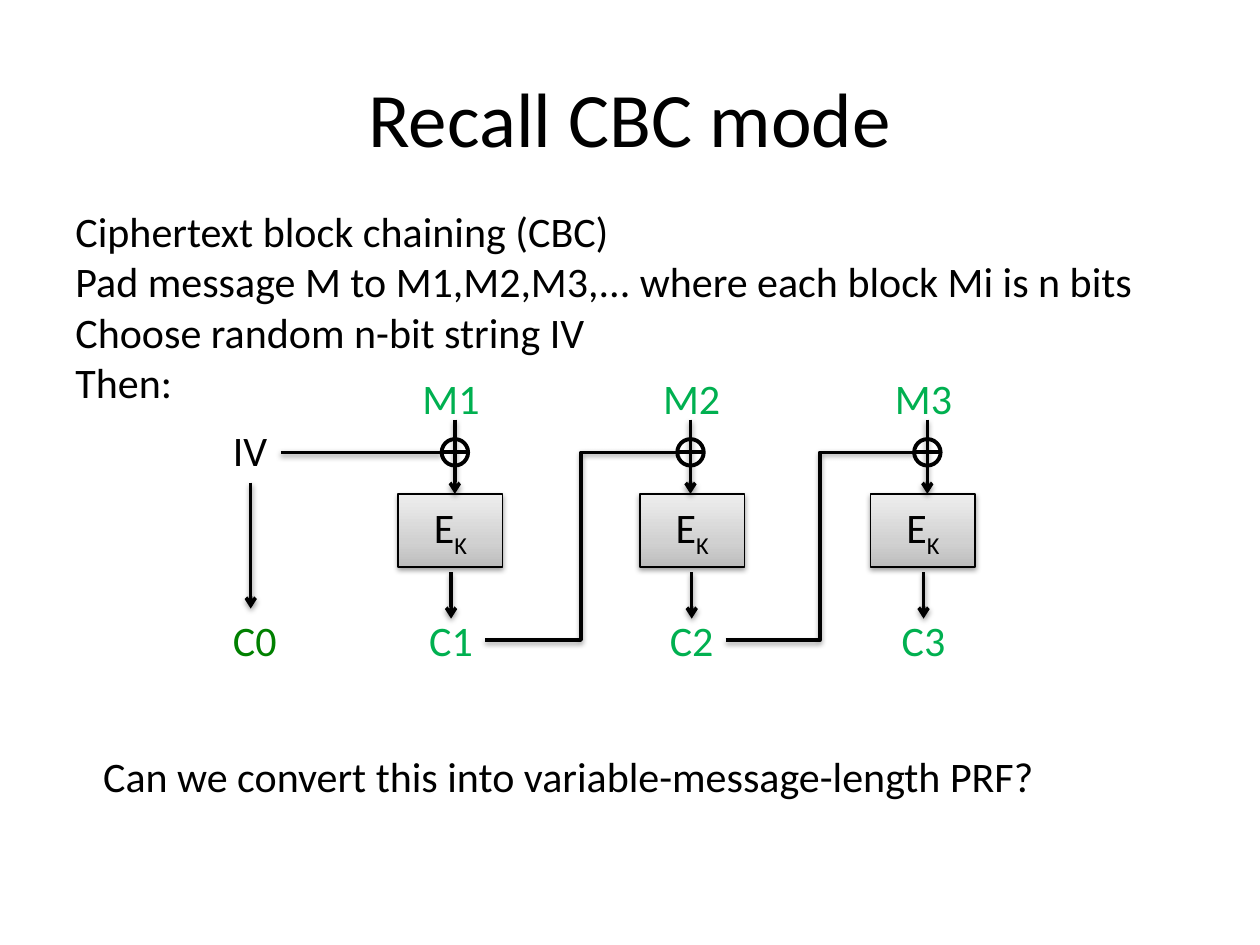
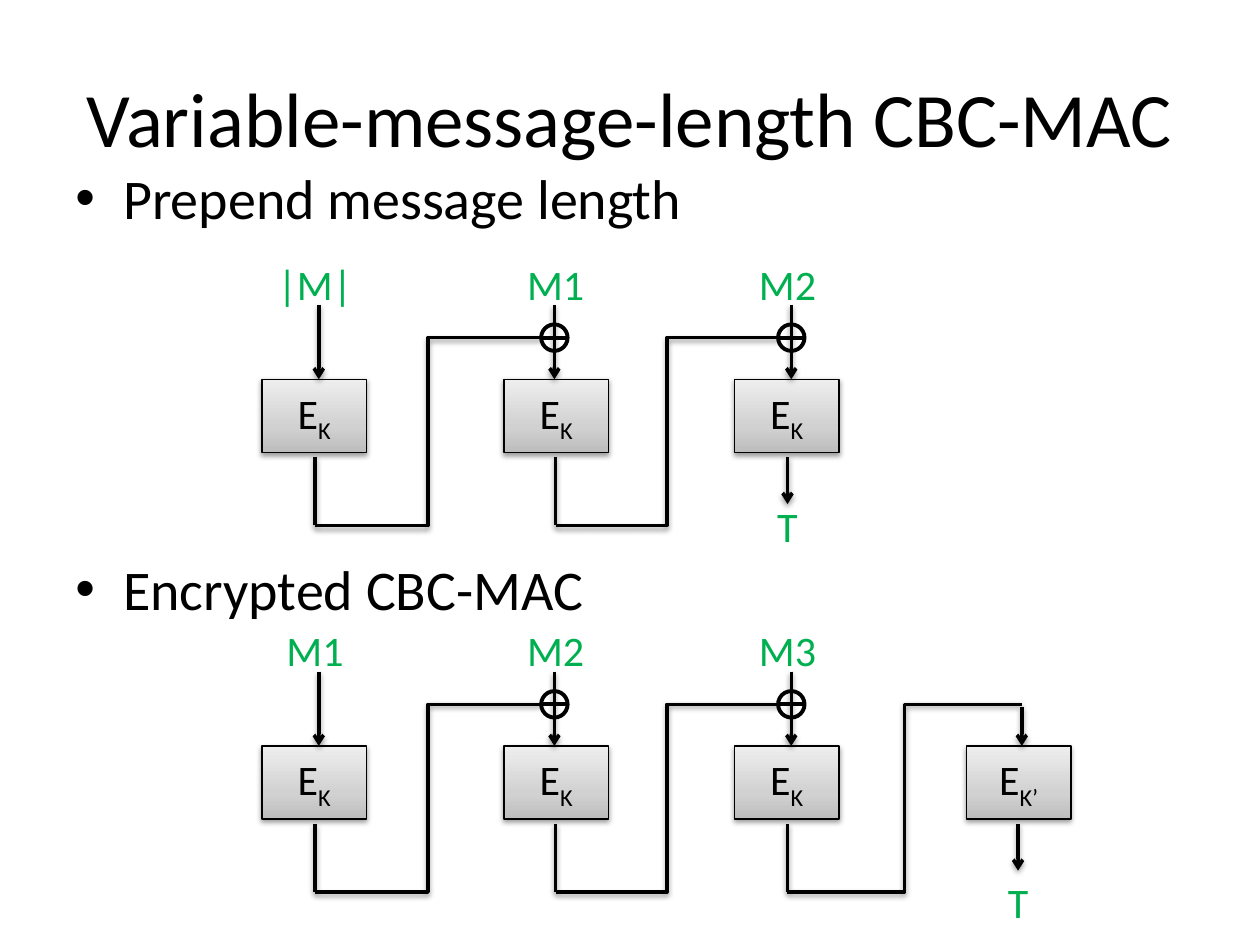
"""Builds two slides about CBC mode and CBC-MAC."""
import copy
from dataclasses import dataclass

import pptx
import pptx.dml.color
import pptx.enum.shapes
import pptx.enum.text
import pptx.oxml
import pptx.oxml.ns
import pptx.util
from pptx.util import Inches

qn = pptx.oxml.ns.qn
ALIGN = pptx.enum.text.PP_ALIGN
ANCHOR = pptx.enum.text.MSO_ANCHOR
AUTO_SIZE = pptx.enum.text.MSO_AUTO_SIZE
SHAPE = pptx.enum.shapes.MSO_SHAPE
CONNECTOR = pptx.enum.shapes.MSO_CONNECTOR


@dataclass(frozen=True)
class Theme:
    """Colours, type and line widths shared by the slides."""
    font: str = "Calibri"
    ink: str = "000000"
    block: str = "00B050"
    first_block: str = "008000"
    box_gradient: tuple = ((0, "BDBDBD"), (0.35, "D1D1D1"), (1, "EEEEEE"))
    title_size: int = 44
    bullet_size: int = 32
    text_size: int = 24
    box_line: float = 0.75
    wire: float = 2
    xor_line: float = 2.25


@dataclass(frozen=True)
class Stage:
    """Horizontal places of one cipher stage."""
    box: float
    feed: float
    output: float

    def shifted(self, distance):
        """Return the same stage moved to the right."""
        return Stage(self.box + distance, self.feed + distance, self.output + distance)


THEME = Theme()
STAGES = (Stage(2.08, 2.53, 2.5), Stage(4, 4.4, 4.41),
          Stage(5.83, 6.28, 6.25), Stage(7.67, 8.11, 8.08))
BOX_WIDTH, BOX_HEIGHT = 0.83, 0.58
XOR_RADIUS = 0.105

# Heights measured from the top of the cipher boxes.
LABEL_TOP, FEED_TOP, XOR_Y = -1.01, -0.59, -0.33
OUTPUT_TOP, OUTPUT_END, RESULT_TOP, CHAIN_Y = 0.62, 0.99, 0.91, 1.16


def rgb(value):
    """Return a colour from its hexadecimal digits."""
    return pptx.dml.color.RGBColor.from_string(value)


def add_run(paragraph, text, size, color, baseline=None):
    """Add a run in the theme font, optionally as a subscript."""
    run = paragraph.add_run()
    run.text = text
    run.font.name = THEME.font
    run.font.size = pptx.util.Pt(size)
    run.font.color.rgb = rgb(color)
    if baseline is not None:
        run.font._element.set("baseline", str(baseline * 1000))


def add_text(slide, text, left, top, width, height=0.5, *, size=THEME.text_size,
             color=THEME.ink, align=ALIGN.LEFT, anchor=ANCHOR.TOP, wrap=False):
    """Add a text box with one paragraph for each line of text."""
    shape = slide.shapes.add_textbox(Inches(left), Inches(top), Inches(width), Inches(height))
    frame = shape.text_frame
    frame.word_wrap = wrap
    frame.auto_size = AUTO_SIZE.NONE if wrap else AUTO_SIZE.SHAPE_TO_FIT_TEXT
    frame.vertical_anchor = anchor
    for index, line in enumerate(text.split("\n")):
        paragraph = frame.add_paragraph() if index else frame.paragraphs[0]
        paragraph.alignment = align
        add_run(paragraph, line, size, color)
    return shape


def add_title(slide, text):
    """Add the centred slide title."""
    add_text(slide, text, 0.5, 0.3, 9, 1.25, size=THEME.title_size,
             align=ALIGN.CENTER, anchor=ANCHOR.MIDDLE, wrap=True)


def add_bullets(slide, text, gap):
    """Add the bulleted body, with a gap in points between its items."""
    shape = add_text(slide, text, 0.5, 1.25, 9, 4.95, size=THEME.bullet_size, wrap=True)
    for index, paragraph in enumerate(shape.text_frame.paragraphs):
        if index:
            paragraph.space_before = pptx.util.Pt(gap)
        properties = paragraph._p.get_or_add_pPr()
        properties.set("marL", str(Inches(0.38)))
        properties.set("indent", str(Inches(-0.38)))
        pptx.oxml.ns  # bullet elements follow the spacing element
        for tag, name, value in (("a:buFont", "typeface", "Arial"), ("a:buChar", "char", "\u2022")):
            element = properties.makeelement(qn(tag), {name: value})
            properties.append(element)


def add_label(slide, text, center, top, color=THEME.block):
    """Add a block name centred on a horizontal place."""
    width = {1: 0.37, 2: 0.66, 3: 0.8}[len(text)]
    add_text(slide, text, center - width / 2, top, width, color=color, align=ALIGN.CENTER)


def set_shadow(shape, visible):
    """Give a shape or connector the soft shadow, or none."""
    properties = shape._element.spPr
    effects = properties.makeelement(qn("a:effectLst"), {})
    properties.append(effects)
    if visible:
        effects.append(pptx.oxml.parse_xml(
            f'<a:outerShdw {pptx.oxml.ns.nsdecls("a")} blurRad="{pptx.util.Pt(3.1)}" '
            f'dist="{pptx.util.Pt(1.6)}" dir="5400000" rotWithShape="0">'
            f'<a:srgbClr val="{THEME.ink}"><a:alpha val="38000"/></a:srgbClr></a:outerShdw>'))


def add_wire(slide, start, end, *, arrow=False, bent=False, width=THEME.wire, shadow=True):
    """Connect two points by a straight or bent line."""
    kind = CONNECTOR.ELBOW if bent else CONNECTOR.STRAIGHT
    connector = slide.shapes.add_connector(kind, *(Inches(value) for value in (*start, *end)))
    connector.line.color.rgb = rgb(THEME.ink)
    connector.line.width = pptx.util.Pt(width)
    if arrow:
        line = connector._element.spPr.find(qn("a:ln"))
        line.append(line.makeelement(qn("a:tailEnd"), {"type": "arrow"}))
    set_shadow(connector, shadow)


def add_cipher_box(slide, left, top, key):
    """Add a shaded box named E with the key as subscript."""
    shape = slide.shapes.add_shape(SHAPE.RECTANGLE, Inches(left), Inches(top),
                                   Inches(BOX_WIDTH), Inches(BOX_HEIGHT))
    shape.fill.gradient()
    shape.fill.gradient_angle = 90
    stops = shape._element.spPr.find(".//" + qn("a:gsLst"))
    stops.insert(1, copy.deepcopy(stops[0]))
    for stop, (position, color) in zip(shape.fill.gradient_stops, THEME.box_gradient):
        stop.position = position
        stop.color.rgb = rgb(color)
    shape.line.color.rgb = rgb(THEME.ink)
    shape.line.width = pptx.util.Pt(THEME.box_line)
    set_shadow(shape, True)
    shape.text_frame.vertical_anchor = ANCHOR.MIDDLE
    paragraph = shape.text_frame.paragraphs[0]
    paragraph.alignment = ALIGN.CENTER
    add_run(paragraph, "E", THEME.text_size, THEME.ink)
    add_run(paragraph, key, THEME.text_size, THEME.ink, baseline=-25)


def add_xor(slide, x, y):
    """Add the circle and crossbar of an XOR sign around a point."""
    shape = slide.shapes.add_shape(SHAPE.OVAL, Inches(x - XOR_RADIUS), Inches(y - XOR_RADIUS),
                                   Inches(2 * XOR_RADIUS), Inches(2 * XOR_RADIUS))
    shape.fill.background()
    shape.line.color.rgb = rgb(THEME.ink)
    shape.line.width = pptx.util.Pt(THEME.xor_line)
    shape.shadow.inherit = False
    add_wire(slide, (x - XOR_RADIUS, y), (x + XOR_RADIUS, y),
             width=THEME.xor_line, shadow=False)


def add_stage(slide, stage, top, message, *, key="K", xor=True):
    """Add a cipher box with its message, if any, and its input arrow."""
    add_cipher_box(slide, stage.box, top, key)
    feed_top = FEED_TOP if message else XOR_Y + 0.02
    add_wire(slide, (stage.feed, top + feed_top), (stage.feed, top), arrow=True)
    if message:
        add_label(slide, message, stage.output, top + LABEL_TOP)
    if xor:
        add_xor(slide, stage.feed, top + XOR_Y)


def add_output(slide, stage, top, name, name_top=RESULT_TOP):
    """Add the arrow out of a cipher box and the name of its result."""
    add_wire(slide, (stage.output, top + OUTPUT_TOP), (stage.output, top + OUTPUT_END), arrow=True)
    add_label(slide, name, stage.output, top + name_top)


def add_chain(slide, start_x, end_x, top):
    """Carry a result up to the input of the next stage."""
    add_wire(slide, (start_x, top + CHAIN_Y), (end_x, top + XOR_Y), bent=True)


def add_mac(slide, top, messages, final_key=None):
    """Add a CBC-MAC row; a final key adds one more encryption."""
    stages = STAGES[:len(messages) + bool(final_key)]
    for index, (stage, message) in enumerate(zip(stages, messages)):
        add_stage(slide, stage, top, message, xor=index > 0)
    if final_key:
        add_stage(slide, stages[-1], top, None, key=final_key, xor=False)
    for index, (stage, following) in enumerate(zip(stages, stages[1:]), 1):
        add_wire(slide, (stage.output, top + OUTPUT_TOP), (stage.output, top + CHAIN_Y))
        reach = XOR_RADIUS if index < len(messages) else 0
        add_chain(slide, stage.output, following.feed - reach, top)
    add_output(slide, stages[-1], top, "T", OUTPUT_END if final_key else RESULT_TOP)


def build_cbc_slide(slide):
    """Recall how CBC mode encrypts."""
    add_title(slide, "Recall CBC mode")
    add_text(slide, "Ciphertext block chaining (CBC)\n"
                    "Pad message M to M1,M2,M3,... where each block Mi is n bits\n"
                    "Choose random n-bit string IV\nThen:", 0.5, 1.58, 8.69, 1.72)
    top = 3.92
    stages = [stage.shifted(1.08) for stage in STAGES[:3]]
    for number, stage in enumerate(stages, 1):
        add_stage(slide, stage, top, f"M{number}")
        add_output(slide, stage, top, f"C{number}")
    for stage, following in zip(stages, stages[1:]):
        add_chain(slide, stage.output + 0.27, following.feed - XOR_RADIUS, top)
    add_text(slide, "IV", 1.75, 3.32, 0.48)
    add_wire(slide, (2.23, top + XOR_Y), (stages[0].feed - XOR_RADIUS, top + XOR_Y))
    add_wire(slide, (1.99, 3.83), (1.99, 4.83), arrow=True)
    add_text(slide, "C0", 1.75, top + RESULT_TOP, 0.55, color=THEME.first_block)
    add_text(slide, "Can we convert this into variable-message-length PRF?", 0.72, 5.91, 7.69)


def build_mac_slide(slide):
    """Show two ways to authenticate messages of any length."""
    add_title(slide, "Variable-message-length CBC-MAC")
    add_bullets(slide, "Prepend message length\nEncrypted CBC-MAC", gap=185)
    add_mac(slide, 3.01, ("|M|", "M1", "M2"))
    add_mac(slide, 5.92, ("M1", "M2", "M3"), final_key="K\u2019")


def main():
    """Build and save the presentation."""
    presentation = pptx.Presentation()
    presentation.slide_width, presentation.slide_height = Inches(10), Inches(7.5)
    blank = presentation.slide_layouts[6]
    for build in (build_cbc_slide, build_mac_slide):
        build(presentation.slides.add_slide(blank))
    presentation.save("out.pptx")


main()
